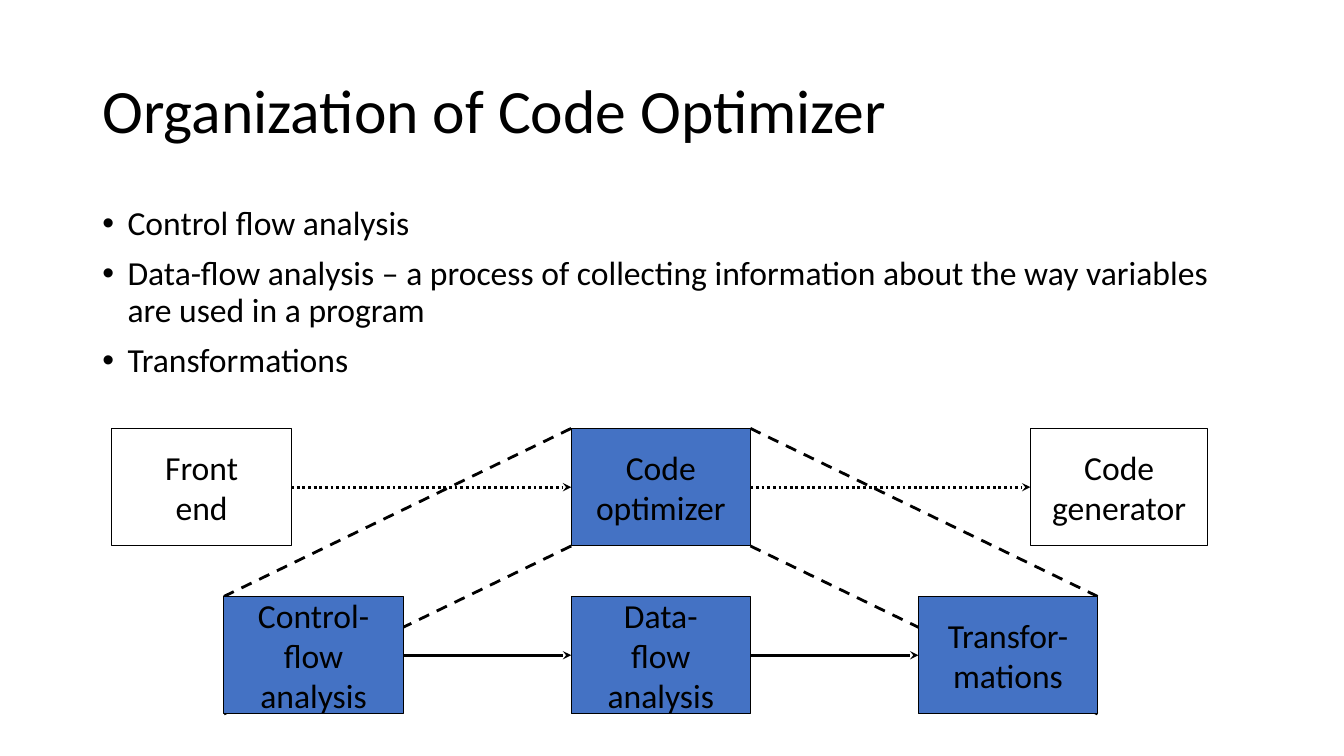
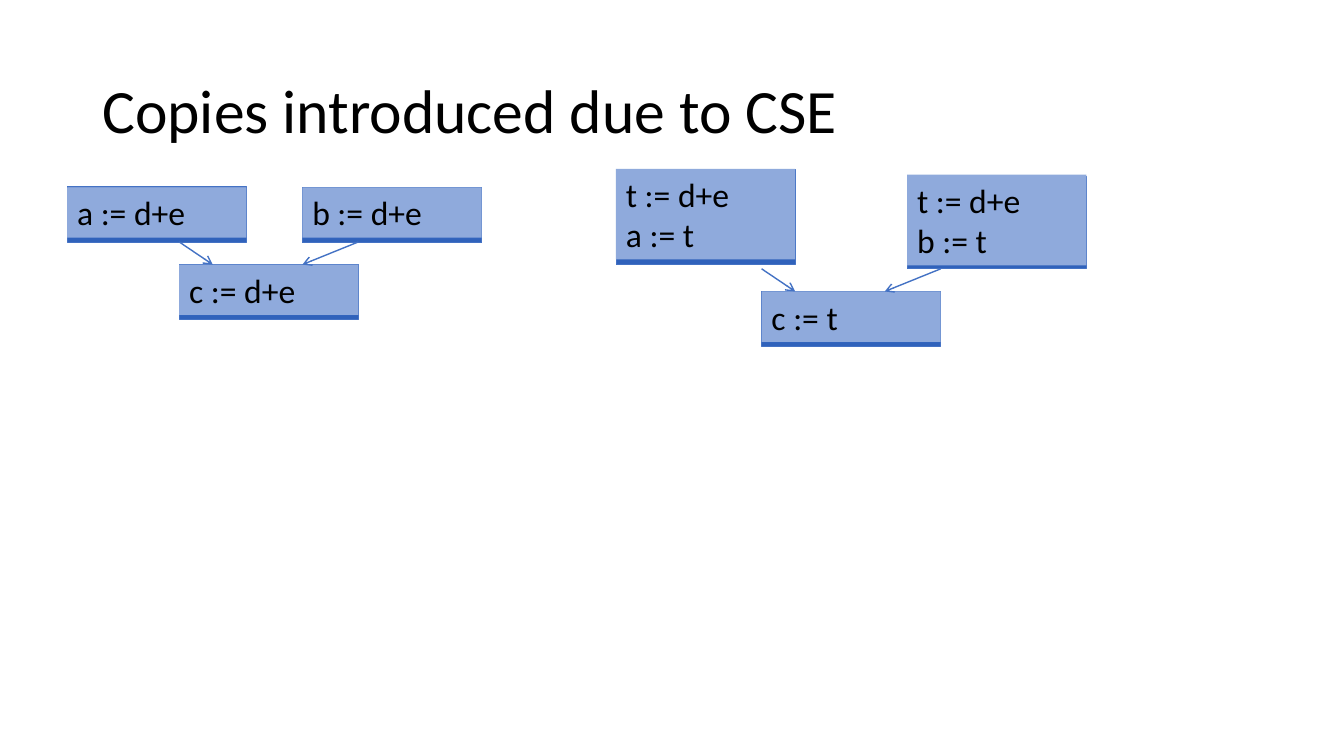
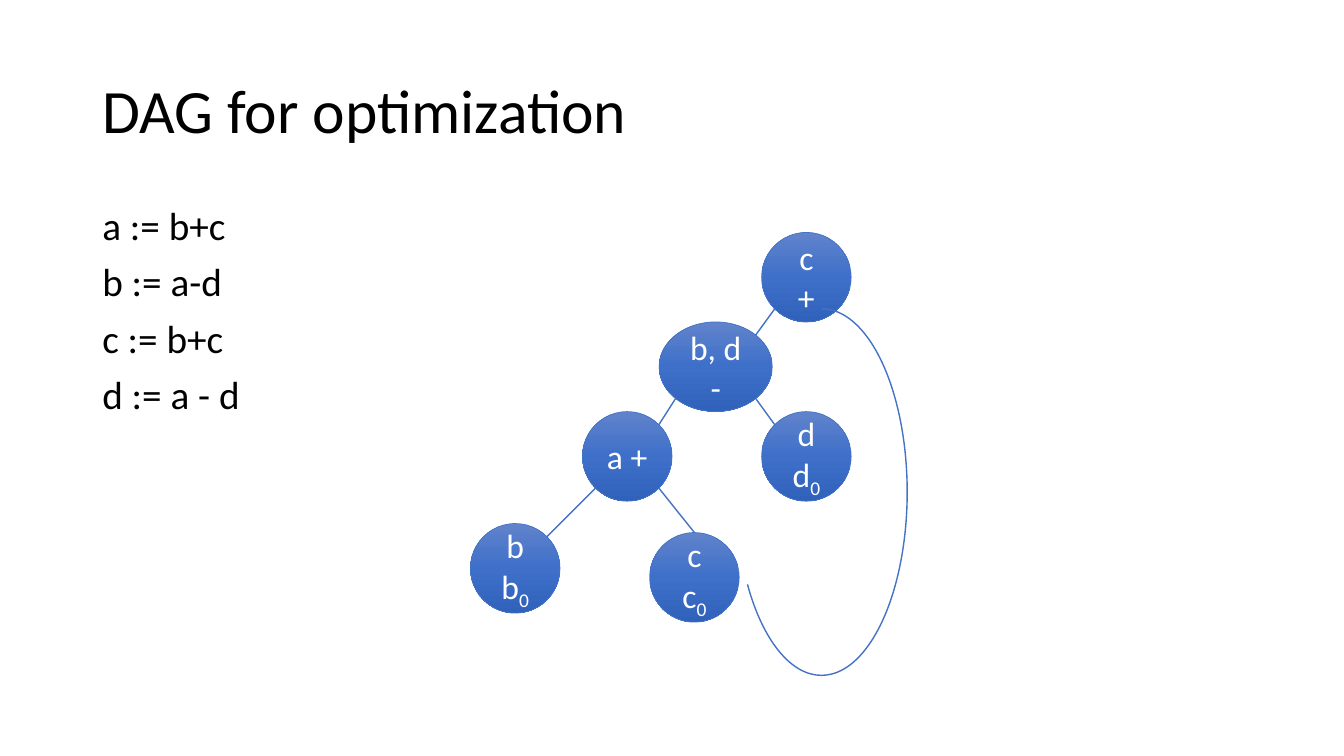
from copy import deepcopy
from math import hypot

from lxml.etree import SubElement
from pptx import Presentation
from pptx.dml.color import RGBColor
from pptx.enum.dml import MSO_LINE
from pptx.enum.shapes import MSO_CONNECTOR, MSO_SHAPE
from pptx.enum.text import MSO_ANCHOR, PP_ALIGN
from pptx.oxml.ns import qn
from pptx.util import Inches, Pt

COLORS = {
    "black": "000000", "white": "FFFFFF", "blue": "4472C4", "label": "8FAADC",
    "top": "6183CB", "middle": "3E70CA", "bottom": "3062BB",
}
GRADIENT = [(0, "top"), (0.5, "middle"), (1, "bottom")]
COLUMNS, ROWS = 120, 90


def color(name):
    """Return the named colour."""
    return RGBColor.from_string(COLORS[name])


def assign(target, values):
    """Set each named attribute of the target."""
    for name, value in values.items():
        setattr(target, name, value)


class Deck:
    """Hold the style, the presentation and the current slide."""

    font = "Calibri"
    centered = {"alignment": PP_ALIGN.CENTER}
    body_spacing = {"line_spacing": 0.9}

    def __init__(self):
        """Start a wide presentation on a grid of columns and rows."""
        self.presentation = Presentation()
        assign(self.presentation, {"slide_width": Inches(13.33), "slide_height": Inches(7.5)})
        self.slide = None

    def place(self, column, row):
        """Turn grid units into lengths."""
        return (round(column * self.presentation.slide_width / COLUMNS),
                round(row * self.presentation.slide_height / ROWS))

    def new_slide(self, title):
        """Add a blank slide with its title."""
        self.slide = self.presentation.slides.add_slide(self.presentation.slide_layouts[6])
        self.text_box((8.25, 4.8, 103.5, 17.4), [title], 44, MSO_ANCHOR.MIDDLE)

    def fill_text(self, shape, lines, size=24, ink="black", anchor=MSO_ANCHOR.MIDDLE,
                  wrap=True, layout=None, bullet=False, gap=0):
        """Set one paragraph per line, with an underscore before a subscript."""
        frame = shape.text_frame
        assign(frame, {"word_wrap": wrap, "vertical_anchor": anchor})
        for index, line in enumerate(lines):
            paragraph = frame.paragraphs[0] if index == 0 else frame.add_paragraph()
            if bullet:
                properties = paragraph._p.get_or_add_pPr()
                properties.set("marL", str(Inches(0.25)))
                properties.set("indent", str(-Inches(0.25)))
                SubElement(properties, qn("a:buFont")).set("typeface", "Arial")
                SubElement(properties, qn("a:buChar")).set("char", "•")
            assign(paragraph, layout or {})
            if index and gap:
                paragraph.space_before = Pt(gap)
            for part, piece in enumerate(line.split("_")):
                run = paragraph.add_run()
                run.text = piece
                assign(run.font, {"name": self.font, "size": Pt(size)})
                run.font.color.rgb = color(ink)
                if part:
                    run._r.get_or_add_rPr().set("baseline", "-25000")

    def text_box(self, area, lines, size, anchor=MSO_ANCHOR.TOP, bullet=False):
        """Add title or body text."""
        shape = self.slide.shapes.add_textbox(*self.place(*area[:2]), *self.place(*area[2:]))
        self.fill_text(shape, lines, size, anchor=anchor, layout=self.body_spacing,
                       bullet=bullet, gap=10)

    def shape(self, kind, area, fill=None, line=None, width=0.5):
        """Add a preset shape with a plain, graded or empty fill."""
        shape = self.slide.shapes.add_shape(kind, *self.place(*area[:2]), *self.place(*area[2:]))
        shape.shadow.inherit = False
        if fill == "gradient":
            self.grade(shape)
        elif fill:
            shape.fill.solid()
            shape.fill.fore_color.rgb = color(fill)
        else:
            shape.fill.background()
        if line:
            shape.line.color.rgb = color(line)
            shape.line.width = Pt(width)
        else:
            shape.line.fill.background()
        return shape

    def grade(self, shape):
        """Fill a shape with the blue gradient from top to bottom."""
        shape.fill.gradient()
        shape.fill.gradient_angle = 270
        stops = shape._element.spPr.find(f".//{qn('a:gsLst')}")
        stops.append(deepcopy(stops[-1]))
        for stop, (position, name) in zip(shape.fill.gradient_stops, GRADIENT):
            stop.position = position
            stop.color.rgb = color(name)

    def stage(self, column, row, lines, fill=None, columns=16):
        """Add a compiler stage."""
        shape = self.shape(MSO_SHAPE.RECTANGLE, (column, row, columns, 14), fill, "black", 0.75)
        self.fill_text(shape, lines, wrap=False, layout=self.centered)

    def statement(self, column, row, lines, back_row, back_height):
        """Add a statement label over its graded block."""
        self.shape(MSO_SHAPE.RECTANGLE, (column, back_row, 16, back_height), "gradient", "blue")
        height = 1.2 + 4.8 * len(lines)
        label = self.shape(MSO_SHAPE.RECTANGLE, (column, row, 16, height), "label")
        self.fill_text(label, lines, anchor=MSO_ANCHOR.TOP, layout={"alignment": PP_ALIGN.LEFT})

    def node(self, area, lines):
        """Add a graph node."""
        shape = self.shape(MSO_SHAPE.OVAL, area, "gradient", "blue")
        self.fill_text(shape, lines, ink="white", layout=self.centered)

    def line(self, start, end, ink="blue", width=1, dash=None, head=None):
        """Add a straight line or arrow."""
        connector = self.slide.shapes.add_connector(
            MSO_CONNECTOR.STRAIGHT, *self.place(*start), *self.place(*end))
        connector.line.color.rgb = color(ink)
        assign(connector.line, {"width": Pt(width), "dash_style": dash})
        if head:
            SubElement(connector.line._get_or_add_ln(), qn("a:tailEnd")).set("type", head)
        SubElement(connector._element.spPr, qn("a:effectLst"))


def organization(deck):
    """Build the optimizer overview."""
    deck.new_slide("Organization of Code Optimizer")
    deck.text_box((8.25, 24, 103.5, 57.1), [
        "Control flow analysis",
        "Data-flow analysis – a process of collecting information about the way variables "
        "are used in a program",
        "Transformations"], 24, bullet=True)
    upper, lower, height = 51, 71, 14
    for inner, outer in [(51, 20), (67, 98)]:
        for offset in (0, height):
            deck.line((inner, upper + offset), (outer, lower + offset), "black", 2, MSO_LINE.DASH)
    deck.stage(10, upper, ["Front", "end"])
    deck.stage(92, upper, ["Code", "generator"], columns=15.84)
    deck.stage(51, upper, ["Code", "optimizer"], "blue")
    for column, lines in [(20, ["Control-", "flow", "analysis"]),
                          (51, ["Data-", "flow", "analysis"]),
                          (82, ["Transfor-", "mations"])]:
        deck.stage(column, lower, lines, "blue")
    for row, dash, spans in [(upper, MSO_LINE.ROUND_DOT, [(26, 51), (67, 92)]),
                             (lower, None, [(36, 51), (67, 82)])]:
        for start, end in spans:
            deck.line((start, row + height / 2), (end, row + height / 2), "black", 2, dash, "stealth")


def copies(deck):
    """Build the before and after flow graphs."""
    deck.new_slide("Copies introduced due to CSE")
    for statement in [
        (6, 22.3, ["a := d+e"], 22.2, 6.6),
        (27, 22.3, ["b := d+e"], 22.3, 6.6),
        (16, 31.5, ["c := d+e"], 31.5, 6.5),
        (55, 20.1, ["t := d+e", "a := t"], 20.2, 11.3),
        (81, 20.8, ["t := d+e", "b := t"], 21, 11),
        (68, 34.7, ["c := t"], 34.7, 6.5),
    ]:
        deck.statement(*statement)
    for join, top, bottom in [(16, 28.8, 31.5), (68, 32, 34.7)]:
        for start, end in [(0, 3), (16, 11)]:
            deck.line((join + start, top), (join + end, bottom), head="arrow")


def site(area, across, down):
    """Return the point of an ellipse that lies in a direction."""
    column, row, columns, rows = area
    length = hypot(across, down)
    return (column + columns / 2 * (1 + across / length),
            row + rows / 2 * (1 + down / length))


def dag(deck):
    """Build the graph of shared expressions."""
    deck.new_slide("DAG for optimization")
    deck.text_box((8.25, 24, 103.5, 57.1),
                  ["a := b+c", "b := a-d", "c := b+c", "d := a - d"], 28)
    size = (8, 10.67)
    nodes = {
        "b0": ((42, 62.33, *size), ["b", "b_0"]),
        "c0": ((58, 63.4, *size), ["c", "c_0"]),
        "a": ((52, 49, *size), ["a +"]),
        "d0": ((68, 49, *size), ["d", "d_0"]),
        "b, d": ((58.85, 38.33, 10.1, 10.67), ["b, d", "-"]),
        "c": ((68, 27.67, *size), ["c", "+"]),
    }
    for area, lines in nodes.values():
        deck.node(area, lines)
    for parent, child, leave, arrive in [
        ("a", "b0", (-1, 1), (1, -1)),
        ("a", "c0", (1, 1), (0, -1)),
        ("b, d", "a", (-1, 1), (1, -1)),
        ("b, d", "d0", (1, 1), (-1, -1)),
        ("c", "b, d", (-1, 1), (1, -1)),
    ]:
        deck.line(site(nodes[parent][0], *leave), site(nodes[child][0], *arrive))
    arc = deck.shape(MSO_SHAPE.ARC, (65.7, 36.75, 15.3, 43.65), line="blue", width=1)
    for index, angle in enumerate((162, 77.23)):
        arc.adjustments[index] = angle


def main():
    """Build and save the slides."""
    deck = Deck()
    for build in (organization, copies, dag):
        build(deck)
    deck.presentation.save("out.pptx")


if __name__ == "__main__":
    main()
